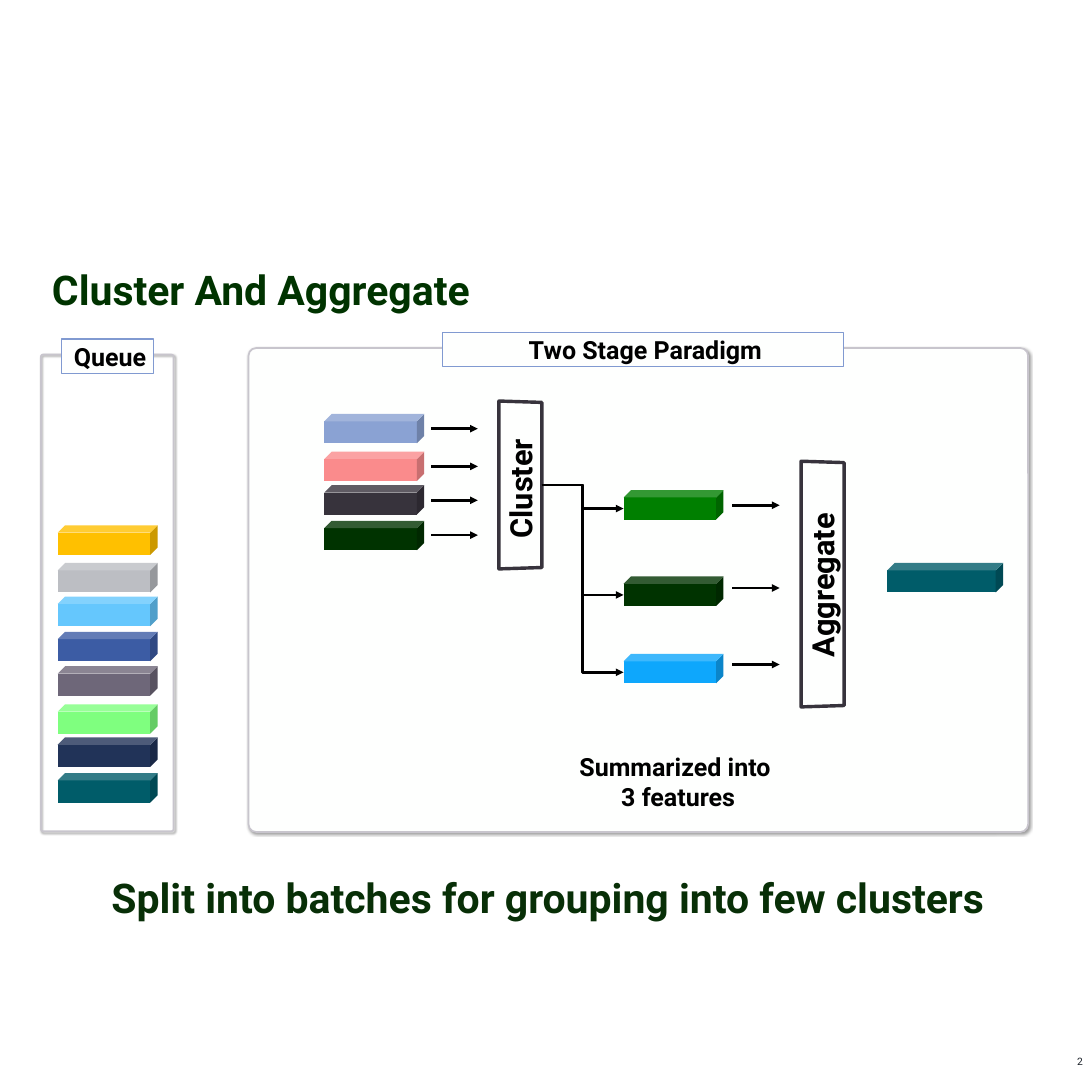
"""Build the Cluster And Aggregate slide."""
from lxml.etree import SubElement
from pptx import Presentation
from pptx.dml.color import RGBColor
from pptx.enum.shapes import MSO_CONNECTOR as LINK, MSO_SHAPE as SHAPE
from pptx.enum.text import MSO_ANCHOR as ANCHOR, MSO_AUTO_SIZE as FIT, PP_ALIGN as ALIGN
from pptx.oxml.ns import qn
from pptx.util import Inches, Pt

WHITE = RGBColor(0xFE, 0xFF, 0xFE)
BLACK = RGBColor(0, 0, 0)
INK = RGBColor(0x1A, 0x20, 0x28)
PINE = RGBColor(0x00, 0x33, 0x00)
MOSS = RGBColor(0x08, 0x2F, 0x07)
GREEN = RGBColor(0x00, 0x7F, 0x00)
LIME = RGBColor(0x7F, 0xFF, 0x7F)
TEAL = RGBColor(0x00, 0x5C, 0x69)
BLUE = RGBColor(0x0E, 0xA7, 0xFC)
SKY = RGBColor(0x65, 0xC7, 0xFD)
ROYAL = RGBColor(0x3C, 0x5C, 0xA4)
NAVY = RGBColor(0x21, 0x33, 0x58)
STEEL = RGBColor(0x8A, 0xA2, 0xD3)
EDGE = RGBColor(0x81, 0x9A, 0xD1)
ROSE = RGBColor(0xFA, 0x8B, 0x8C)
GOLD = RGBColor(0xFF, 0xC0, 0x00)
COAL = RGBColor(0x37, 0x33, 0x3C)
MAUVE = RGBColor(0x6E, 0x67, 0x79)
SILVER = RGBColor(0xBC, 0xBE, 0xC3)
FRAME = RGBColor(0xC8, 0xC5, 0xCD)

deck = Presentation()
deck.slide_width = deck.slide_height = Inches(26.67)
slide = deck.slides.add_slide(deck.slide_layouts[6])
shapes = slide.shapes


def draw(kind, spot, fill=None, line=None, width=0):
    shape = shapes.add_shape(kind, *map(Inches, spot))
    shape.shadow.inherit = False
    for part, color in ((shape.fill, fill), (shape.line.fill, line)):
        if color is None:
            part.background()
        else:
            part.solid()
            part.fore_color.rgb = color
    if line is not None:
        shape.line.width = Pt(width)
    return shape


def write(shape, words, size, color=BLACK, align=ALIGN.CENTER, bold=True, **form):
    frame = shape.text_frame
    look = {"word_wrap": True, "auto_size": FIT.SHAPE_TO_FIT_TEXT,
            "vertical_anchor": ANCHOR.TOP, **form}
    for name, value in look.items():
        setattr(frame, name, value)
    para = frame.paragraphs[0]
    para.text = words
    para.alignment = align
    font = {"name": "Roboto", "size": Pt(size), "bold": bold}
    for run in para.runs:
        for name, value in font.items():
            setattr(run.font, name, value)
        run.font.color.rgb = color


pad = {f"margin_{side}": Inches(0.06) for side in ("left", "top", "right", "bottom")}
pad["vertical_anchor"] = ANCHOR.MIDDLE
tag = {"margin_left": Inches(0.13), "margin_right": 0}

texts = [
    ((26.08, 25.73, 0.59, 0.94), "2", 18,
     {"color": INK, "bold": False, "auto_size": FIT.NONE}),
    ((1.21, 6.4, 16.82, 1.32), "Cluster And Aggregate", 72,
     {"color": PINE, "align": ALIGN.LEFT, **pad}),
    ((13.95, 18.31, 5.23, 1.58), "Summarized into \n3 features", 44, {}),
    ((2.64, 21.24, 21.49, 1.32), "Split into batches for grouping into few clusters", 72,
     {"color": MOSS, **pad, "word_wrap": False}),
]

stacks = [
    (1.41, 2.44, [(12.83, GOLD), (13.75, SILVER), (14.57, SKY), (15.43, ROYAL),
                  (16.27, MAUVE), (17.2, LIME), (18.01, NAVY), (18.88, TEAL)]),
    (7.92, 2.44, [(10.11, STEEL), (11.03, ROSE), (11.85, COAL), (12.72, PINE)]),
    (15.23, 2.44, [(11.97, GREEN), (14.08, PINE), (15.97, BLUE)]),
    (21.67, 2.83, [(13.75, TEAL)]),
]

panels = [
    ((6.07, 8.5, 19.04, 11.82), WHITE, (10.8, 8.12, 9.8, 0.84), "Two Stage Paradigm"),
    ((1, 8.66, 3.24, 11.64), None, (1.5, 8.28, 2.25, 0.84), "Queue"),
]
for spot, fill, head, words in panels:
    panel = draw(SHAPE.ROUNDED_RECTANGLE, spot, fill, FRAME, 3)
    panel.adjustments[0] = 0.016
    glow = SubElement(panel._element.spPr.find(qn("a:effectLst")), qn("a:outerShdw"),
                      blurRad=str(Pt(4)), dist=str(Pt(3)), dir="2700000",
                      algn="tl", rotWithShape="0")
    shade = SubElement(glow, qn("a:srgbClr"), val="000000")
    SubElement(shade, qn("a:alpha"), val="40000")
    write(draw(SHAPE.RECTANGLE, head, WHITE, EDGE, 2.25), words, 44, **tag)

stages = [
    ((10.66, 11.32, 4.1, 1.05), (11, 11.43, 3.42, 1.01), "Cluster"),
    ((17.09, 13.74, 6, 1.05), (17.95, 13.79, 4.27, 1.01), "Aggregate"),
]
for spot, place, words in stages:
    stage = draw(SHAPE.TRAPEZOID, spot, None, COAL, 6)
    stage.adjustments[0] = 0.032
    stage.rotation = 90
    label = shapes.add_textbox(*map(Inches, place))
    label.rotation = 270
    write(label, words, 54)

for left, width, cubes in stacks:
    for top, color in cubes:
        draw(SHAPE.CUBE, (left, top, width, 0.72), color)

arrows = [(LINK.STRAIGHT, 10.53, y, 11.67, y) for y in (10.47, 11.39, 12.22, 13.07)]
arrows += [(LINK.STRAIGHT, 17.89, y, 19.04, y) for y in (12.34, 14.36, 16.23)]
arrows += [(LINK.ELBOW, 13.23, 11.84, 15.23, y) for y in (12.42, 14.53, 16.42)]
for kind, *ends in arrows:
    arrow = shapes.add_connector(kind, *map(Inches, ends))
    arrow.line.color.rgb = BLACK
    arrow.line.width = Pt(4.5)
    SubElement(arrow.line._get_or_add_ln(), qn("a:tailEnd"), type="triangle")
    SubElement(arrow._element.spPr, qn("a:effectLst"))

for spot, words, size, form in texts:
    write(shapes.add_textbox(*map(Inches, spot)), words, size, **form)

deck.save("out.pptx")
